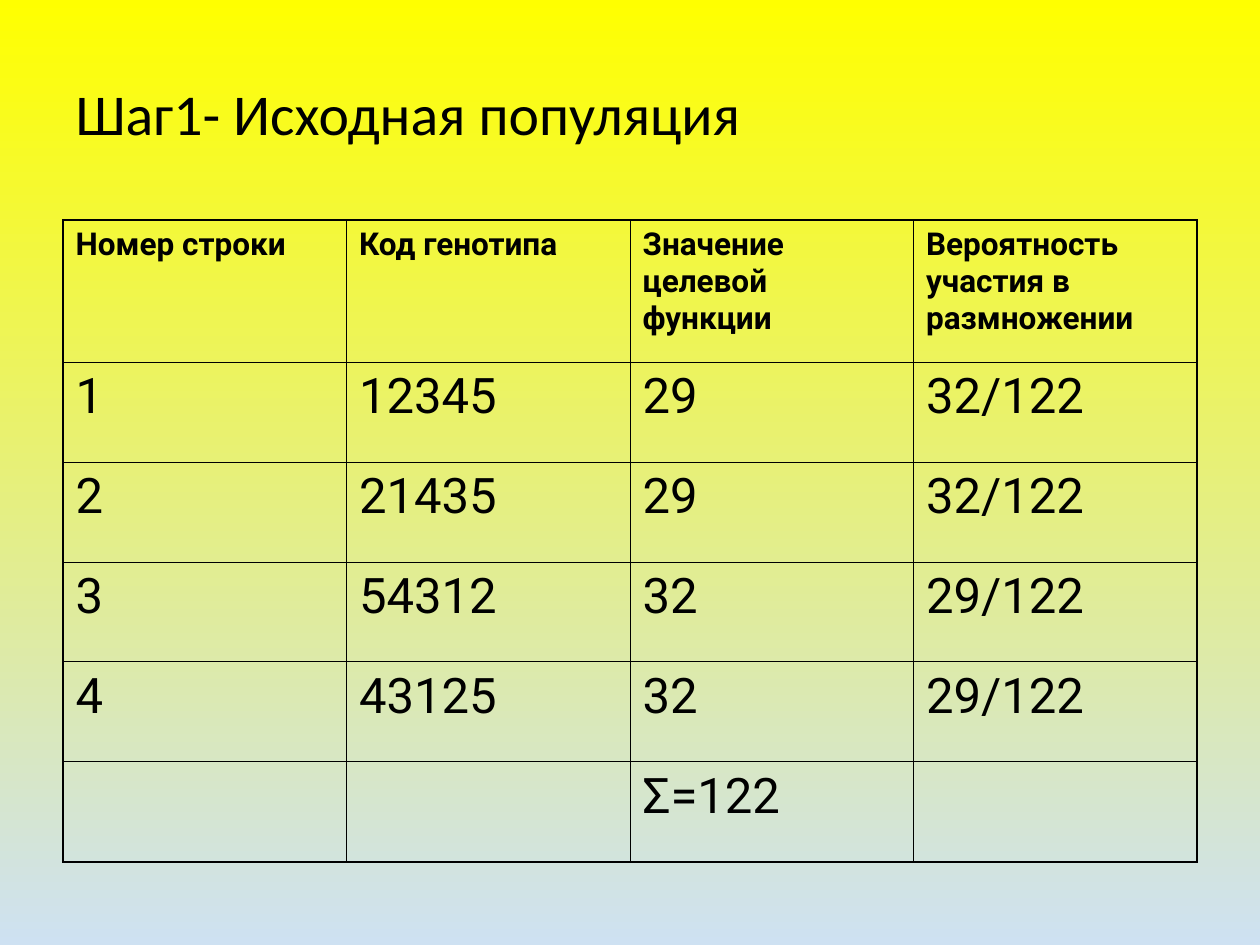
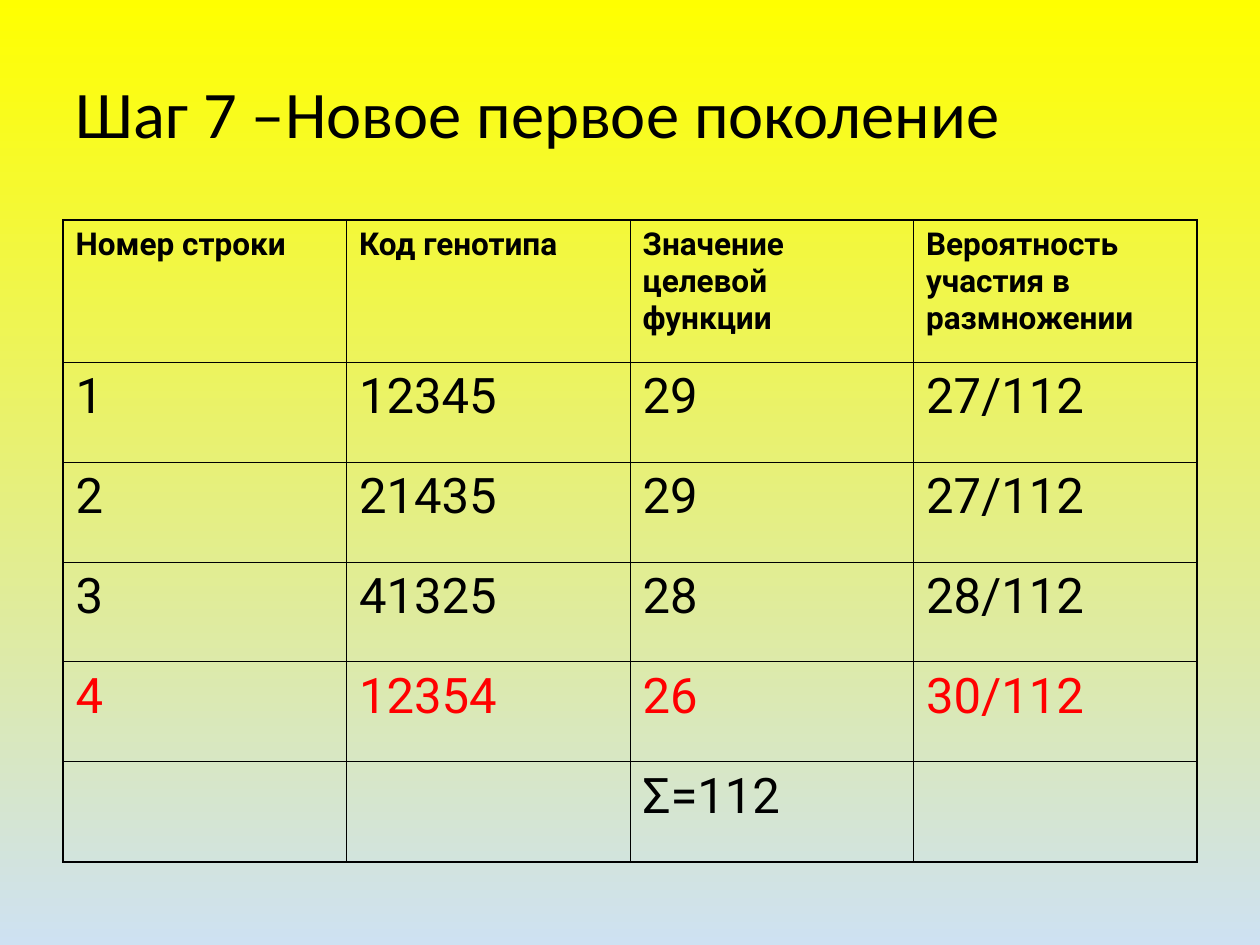
"""Two slides on a genetic algorithm: the first population and the next generation."""
from pptx import Presentation
from pptx import util as u
from pptx.dml import color
from pptx.enum import text
from pptx.oxml import ns
from lxml import etree

BLACK, RED = "000000", "FF0000"
TOP, BASE = "FFFF00", "CEE1F2"
THIN, THICK = 0.45, 1.08
HEADS = ["Номер строки", "Код генотипа", "Значение целевой функции",
         "Вероятность участия в размножении"]


def px(n):
    return u.Emu(round(n * 914400 / 126))


def rgb(code):
    return color.RGBColor.from_string(code)


class Deck:
    def __init__(self):
        self.prs = Presentation()
        self.prs.slide_width, self.prs.slide_height = px(1260), px(945)
        fill = self.prs.slide_master.background.fill
        fill.gradient()
        fill.gradient_angle = 270
        for stop, code, place in zip(fill.gradient_stops, (TOP, BASE), (0, 1)):
            stop.color.rgb = rgb(code)
            stop.position = place

    def slide(self):
        self.page = self.prs.slides.add_slide(self.prs.slide_layouts[5])

    def run(self, par, words, size, face, code=BLACK, bold=False):
        run = par.add_run()
        run.text = words
        font = run.font
        font.size, font.name, font.bold = u.Pt(size), face, bold
        font.color.rgb = rgb(code)

    def title(self, words, size):
        box = self.page.shapes.title
        box.left, box.top, box.width, box.height = map(px, (63, 38, 1134, 157))
        frame = box.text_frame
        frame.word_wrap = True
        frame.auto_size = text.MSO_AUTO_SIZE.NONE
        frame.vertical_anchor = text.MSO_ANCHOR.MIDDLE
        par = frame.paragraphs[0]
        par.alignment = text.PP_ALIGN.LEFT
        par.line_spacing = 0.9
        self.run(par, words, size, "Calibri")

    def edge(self, cell, side, width):
        props = cell._tc.get_or_add_tcPr()
        line = etree.SubElement(props, ns.qn("a:ln" + side), w=str(u.Pt(width)))
        fill = etree.SubElement(line, ns.qn("a:solidFill"))
        etree.SubElement(fill, ns.qn("a:srgbClr"), val=BLACK)

    def table(self, rows, mark=None):
        grid = [HEADS] + rows
        high, wide = len(grid), len(HEADS)
        tall = [142] + [100] * len(rows)
        frame = self.page.shapes.add_table(
            high, wide, px(63), px(220), px(1134), px(sum(tall)))
        table = frame.table
        table.first_row = table.horz_banding = False
        for row, size in zip(table.rows, tall):
            row.height = px(size)
        for r, row in enumerate(grid):
            for c, words in enumerate(row):
                cell = table.cell(r, c)
                outer = {"L": c == 0, "R": c == wide - 1,
                         "T": r == 0, "B": r == high - 1}
                for side, rim in outer.items():
                    self.edge(cell, side, THICK if rim else THIN)
                cell.fill.background()
                if words:
                    self.run(cell.text_frame.paragraphs[0], words,
                             28 if r else 18, "Roboto",
                             RED if r == mark else BLACK, r == 0)


def main():
    deck = Deck()

    deck.slide()
    deck.title("Шаг1- Исходная популяция", 33)
    deck.table([
        ["1", "12345", "29", "32/122"],
        ["2", "21435", "29", "32/122"],
        ["3", "54312", "32", "29/122"],
        ["4", "43125", "32", "29/122"],
        ["", "", "Σ=122", ""],
    ])

    deck.slide()
    deck.title("Шаг 7 –Новое первое поколение", 38)
    deck.table([
        ["1", "12345", "29", "27/112"],
        ["2", "21435", "29", "27/112"],
        ["3", "41325", "28", "28/112"],
        ["4", "12354", "26", "30/112"],
        ["", "", "Σ=112", ""],
    ], mark=4)

    deck.prs.save("out.pptx")


if __name__ == "__main__":
    main()
